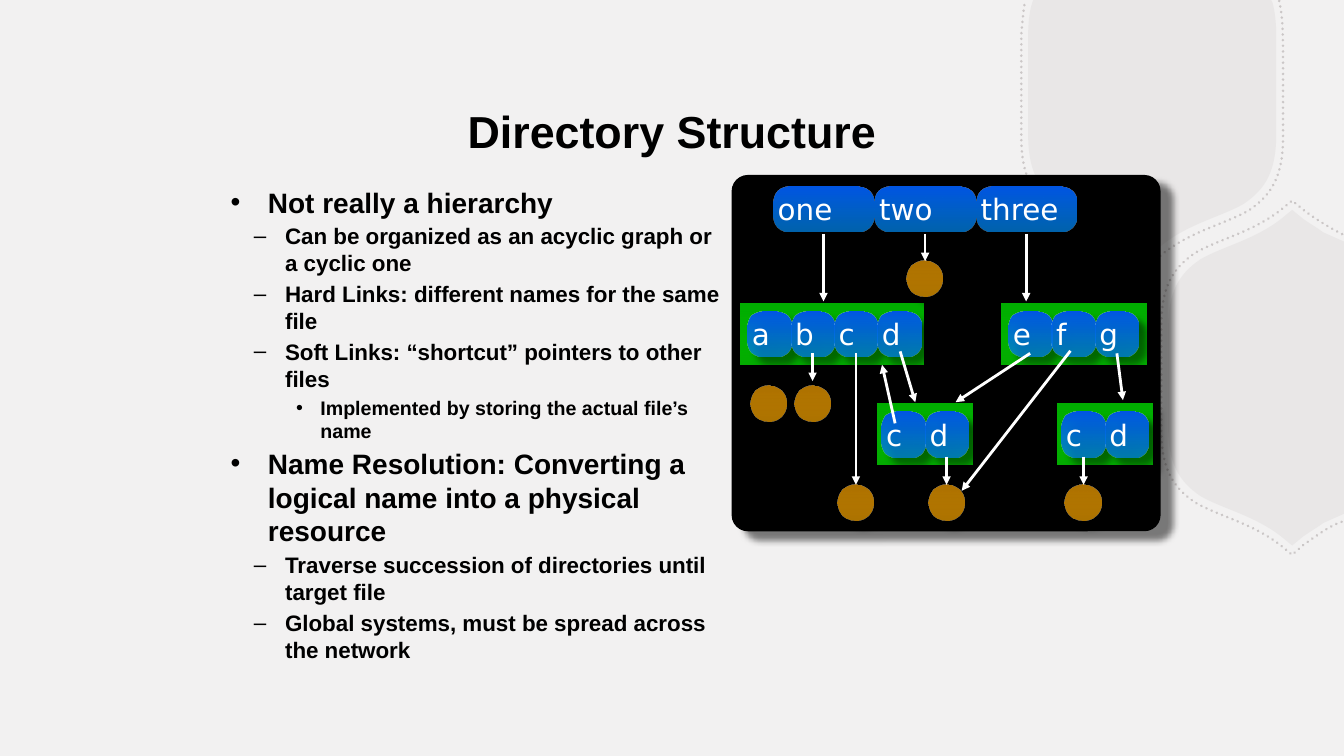
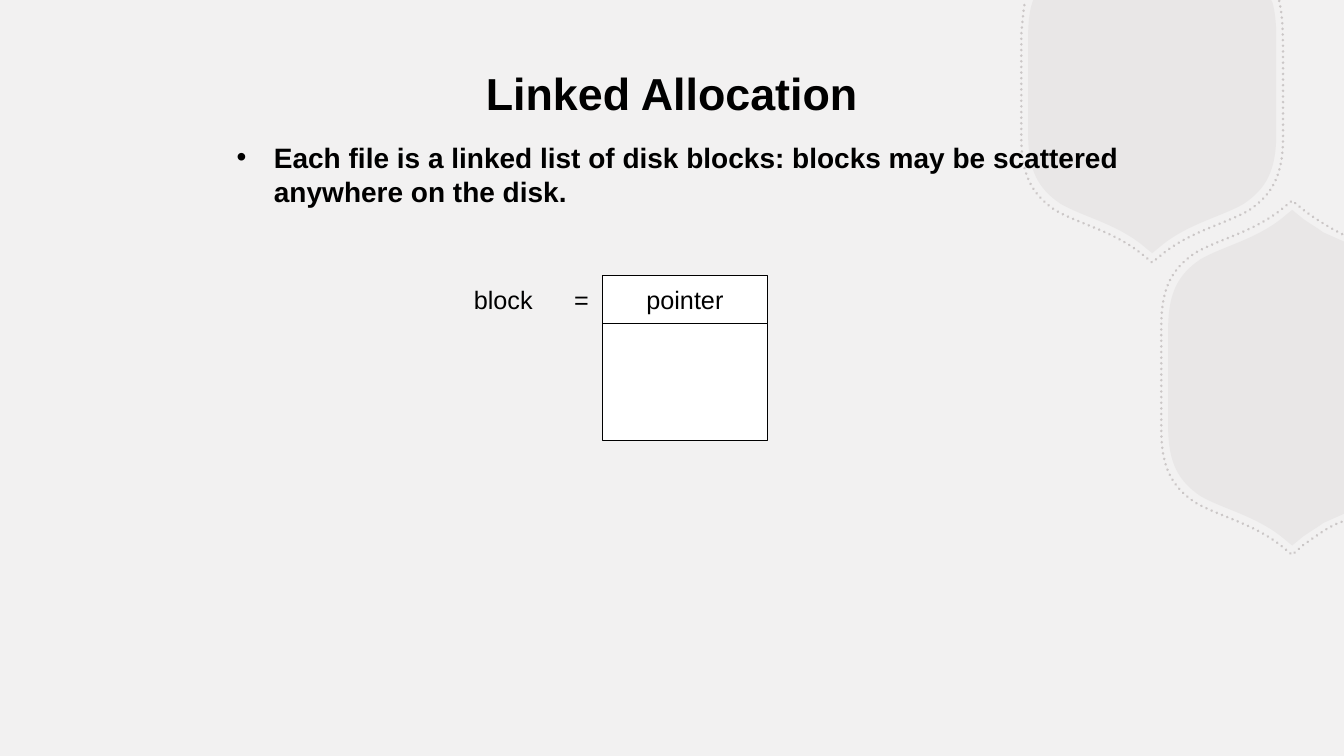
"""Build two slides on directory structure and linked allocation."""
from dataclasses import dataclass

from lxml.etree import SubElement
from pptx import Presentation
from pptx.dml.color import RGBColor
from pptx.enum.dml import MSO_LINE
from pptx.enum.shapes import MSO_CONNECTOR as CONN, MSO_SHAPE as SHAPE
from pptx.enum.text import MSO_ANCHOR as ANCHOR, PP_ALIGN as ALIGN
from pptx.oxml.ns import qn
from pptx.util import Pt


@dataclass(frozen=True)
class Theme:
    page: str = "F2F1F1"
    shield: str = "B8B2B2"
    black: str = "000000"
    white: str = "FFFFFF"
    folder: tuple = ("02B000", "05E500")
    entry: tuple = ("0057E5", "0082E5")
    file: tuple = ("B07302", "E59900")
    font: str = "Arial"
    entry_font: str = "DejaVu Sans"
    title_size: float = 32
    label_size: float = 18
    entry_size: float = 21
    levels: tuple = (("•", 26.6, 26.6, 20), ("–", 38.9, 22.3, 16), ("•", 64.1, 17.3, 14))


T = Theme()
rgb = RGBColor.from_string


def text(tf, s, size=T.label_size, color=T.black, font=T.font, bold=False,
         align=ALIGN.LEFT, level=None, before=0, tab=None):
    """Add a paragraph to a text frame."""
    p = tf.paragraphs[0] if not tf.text else tf.add_paragraph()
    p.alignment = align
    pPr = p._p.get_or_add_pPr()
    if before:
        p.space_before = Pt(before)
    if level is not None:
        char, margin, hang, size = T.levels[level]
        p.level = level
        pPr.set("marL", str(Pt(margin)))
        pPr.set("indent", str(-Pt(hang)))
        SubElement(SubElement(pPr, qn("a:buClr")), qn("a:srgbClr"), val=color)
        SubElement(pPr, qn("a:buFont"), typeface=font)
        SubElement(pPr, qn("a:buChar"), char=char)
    if tab:
        tabs = SubElement(pPr, qn("a:tabLst"))
        SubElement(tabs, qn("a:tab"), pos=str(Pt(tab)), algn="l")
    r = p.add_run()
    r.text = s
    r.font.size, r.font.name, r.font.bold = Pt(size), font, bold
    r.font.color.rgb = rgb(color)


def paint(sp, fill=None, line=None, width=2, alpha=None, shadow=None):
    """Set fill, line and shadow; alpha applies to the last colour set."""
    sp.shadow.inherit = False
    if isinstance(fill, tuple):
        sp.fill.gradient()
        sp.fill.gradient_angle = 270
        for stop, color in zip(sp.fill.gradient_stops, fill):
            stop.color.rgb = rgb(color)
    elif fill:
        sp.fill.solid()
        sp.fill.fore_color.rgb = rgb(fill)
    else:
        sp.fill.background()
    if line:
        sp.line.color.rgb = rgb(line)
        sp.line.width = Pt(width)
    else:
        sp.line.fill.background()
    spPr = sp._element.spPr
    if alpha:
        last = list(spPr.iter(qn("a:srgbClr")))[-1]
        SubElement(last, qn("a:alpha"), val=str(alpha * 1000))
    if shadow:
        dist, angle = shadow
        outer = SubElement(spPr.find(qn("a:effectLst")), qn("a:outerShdw"), blurRad=str(Pt(5)),
                           dist=str(Pt(dist)), dir=str(angle * 60000), algn="tl", rotWithShape="0")
        color = SubElement(outer, qn("a:srgbClr"), val=T.black)
        SubElement(color, qn("a:alpha"), val="50000")


prs = Presentation()
prs.slide_width, prs.slide_height = Pt(960), Pt(540)
layout = prs.slide_layouts[6]
background = prs.slide_master.background.fill
background.solid()
background.fore_color.rgb = rgb(T.page)
directory, allocation = [prs.slides.add_slide(layout) for _ in range(2)]

right = [[(88.6, 35)], [(88.6, 60.8), (81.4, 73.8), (65.5, 84.6)],
         [(49, 94), (27.4, 98.3), (7.9, 113.4)], [(0, 119.9)]]
left = [[(-7.9, 113.4)], [(-27.4, 98.3), (-49, 94), (-65.5, 84.6)],
        [(-81.4, 73.8), (-88.6, 60.8), (-88.6, 35)]]
upper_left = [[(-x, -y) for x, y in seg] for seg in right]
shields = [
    (823, 61, 1, [[(-85, -61)], [(85, -61)], [(86, -59)],
                  [(87.8, -52.4), (88.6, -44.4), (88.6, -35)], *right, *left, [(-88.6, -35)],
                  [(-88.6, -44.4), (-87.8, -52.4), (-85.7, -59)]]),
    (923, 269.8, 1, [[(0, -119.9)], [(7.9, -113.4)], [(13, -109.8), (18, -107), (22.4, -103.7)],
                     [(37, -97.2)], [(37, 97.2)], [(22.4, 103.7)],
                     [(18, 107), (13, 109.8), (7.9, 113.4)], [(0, 119.9)], *left, *upper_left]),
    (823, 61, 1.055, [[(86, -57.2)], [(88.7, -44.5), (88.1, -37.9), (88.6, -27.5)],
                      *right, *left, [(-88.6, -35)], [(-88.1, -39.8), (-87.2, -52.1), (-86, -57.2)]]),
    (923, 269.8, 1.055, [[(33.5, 97.6)], [(24.6, 100.5), (13.6, 109.2), (7.9, 113)], [(0, 119.9)],
                         *left, *upper_left, [(7.9, -113.4)],
                         [(13.6, -109), (25.2, -101.4), (34.9, -96.7)]]),
]
for cx, cy, scale, segments in shields:
    dotted = scale > 1
    pts = [(Pt(cx + x * scale), Pt(cy + y * scale)) for seg in segments for x, y in seg]
    builder = directory.shapes.build_freeform(*pts[0], scale=1.0)
    builder.add_line_segments(pts[1:], close=not dotted)
    sp = builder.convert_to_shape()
    steps = iter(list(sp._element.iter(qn("a:lnTo"))))
    for seg in segments[1:]:
        first, *rest = [next(steps) for _ in seg]
        if rest:
            first.tag = qn("a:cubicBezTo")
        for step in rest:
            first.append(step[0])
            step.getparent().remove(step)
    if dotted:
        paint(sp, line=T.shield, alpha=65)
        sp.line.dash_style = MSO_LINE.ROUND_DOT
        sp.line._get_or_add_ln().set("cap", "rnd")
    else:
        paint(sp, T.shield, alpha=15)
    layout.shapes._spTree.append(sp._element)

pages = [
    (directory, "Directory Structure", (174, 48, 612, 90), (157.7, 128.6, 364.3, 363.6), [
        (0, "Not really a hierarchy"),
        (1, "Can be organized as an acyclic graph or a cyclic one"),
        (1, "Hard Links: different names for the same file"),
        (1, "Soft Links: “shortcut” pointers to other files"),
        (2, "Implemented by storing the actual file’s name"),
        (0, "Name Resolution: Converting a logical name into a physical resource"),
        (1, "Traverse succession of directories until target file"),
        (1, "Global systems, must be spread across the network")]),
    (allocation, "Linked Allocation", (174, 44, 612, 45), (162, 96.8, 648, 59), [
        (0, "Each file is a linked list of disk blocks: blocks may be scattered anywhere on the disk.")]),
]
for s, title, title_box, body_box, items in pages:
    tf = s.shapes.add_textbox(*map(Pt, title_box)).text_frame
    tf.word_wrap, tf.vertical_anchor = True, ANCHOR.MIDDLE
    text(tf, title, size=T.title_size, bold=True, align=ALIGN.CENTER)
    tf = s.shapes.add_textbox(*map(Pt, body_box)).text_frame
    tf.word_wrap = True
    for i, (level, item) in enumerate(items):
        text(tf, item, bold=True, level=level, before=2.8 if i else 0)

panel = directory.shapes.add_shape(SHAPE.ROUNDED_RECTANGLE, Pt(523.6), Pt(126), Pt(304.4), Pt(252.5))
panel.adjustments[0] = 0.042
paint(panel, T.black, T.black, shadow=(10, 35))

soft = (8, 45)
folders = [(755.3, 288.4, 67.7), (627.1, 288.4, 67.7), (715.7, 216.7, 103), (529.2, 216.7, 130.3)]
for x, y, w in folders:
    sp = directory.shapes.add_shape(SHAPE.RECTANGLE, Pt(x), Pt(y), Pt(w), Pt(43.6))
    paint(sp, T.folder, alpha=75, shadow=soft)

entries = [(552.4, 133.2, 71.7, 72.5, ("one", "two", "three")),
           (534.2, 222.5, 31, 30.9, "abcd"), (720.5, 222.5, 31, 30.9, "efg"),
           (630, 294.2, 31, 31, "cd"), (758.4, 294.2, 31, 31, "cd")]
for x, y, w, pitch, names in entries:
    for i, name in enumerate(names):
        sp = directory.shapes.add_shape(SHAPE.ROUNDED_RECTANGLE, Pt(x + i * pitch), Pt(y), Pt(w), Pt(32.4))
        sp.adjustments[0] = 0.33
        paint(sp, T.entry, alpha=75, shadow=soft)
        tf = sp.text_frame
        tf.margin_left = tf.margin_right = tf.margin_top = tf.margin_bottom = 0
        text(tf, name, size=T.entry_size, color=T.white, font=T.entry_font)

for x, y in [(647.5, 186), (536.4, 275.3), (567.4, 275.3), (598.4, 346.1), (663.3, 346.1), (760.7, 346.1)]:
    sp = directory.shapes.add_shape(SHAPE.OVAL, Pt(x), Pt(y), Pt(25.7), Pt(25.7))
    paint(sp, T.file, alpha=75, shadow=soft)

arrows = [(588.2, 167, 588.2, 215.3), (733, 167, 733, 215.3), (660.8, 167, 660.8, 186.5),
          (643, 251, 653.8, 287.3), (735.8, 252.4, 682.6, 287.3), (580.4, 252.4, 580.4, 272.2),
          (611.4, 252.4, 611.4, 346.3), (639.4, 302.4, 630, 260.6), (676.1, 326.2, 676.1, 346.3),
          (774, 326.2, 774, 346.3), (797.8, 252.4, 802.1, 285.8), (764.6, 250.6, 686.9, 350.6)]
for arrow in arrows:
    c = directory.shapes.add_connector(CONN.STRAIGHT, *map(Pt, arrow))
    c.line.color.rgb = rgb(T.white)
    c.line.width = Pt(2)
    SubElement(c.line._get_or_add_ln(), qn("a:tailEnd"), type="triangle")
    SubElement(c._element.spPr, qn("a:effectLst"))

for label, y, h in (("pointer", 196.9, 33.9), ("", 230.8, 83.9)):
    sp = allocation.shapes.add_shape(SHAPE.RECTANGLE, Pt(430.2), Pt(y), Pt(118), Pt(h))
    paint(sp, T.white, T.black, width=0.75)
    if label:
        text(sp.text_frame, label, align=ALIGN.CENTER)
tf = allocation.shapes.add_textbox(Pt(331.4), Pt(199), Pt(98), Pt(29.5)).text_frame
tf.word_wrap, tf.vertical_anchor, tf.margin_right = True, ANCHOR.MIDDLE, 0
text(tf, "block\t=", tab=71.7)

prs.save("out.pptx")
